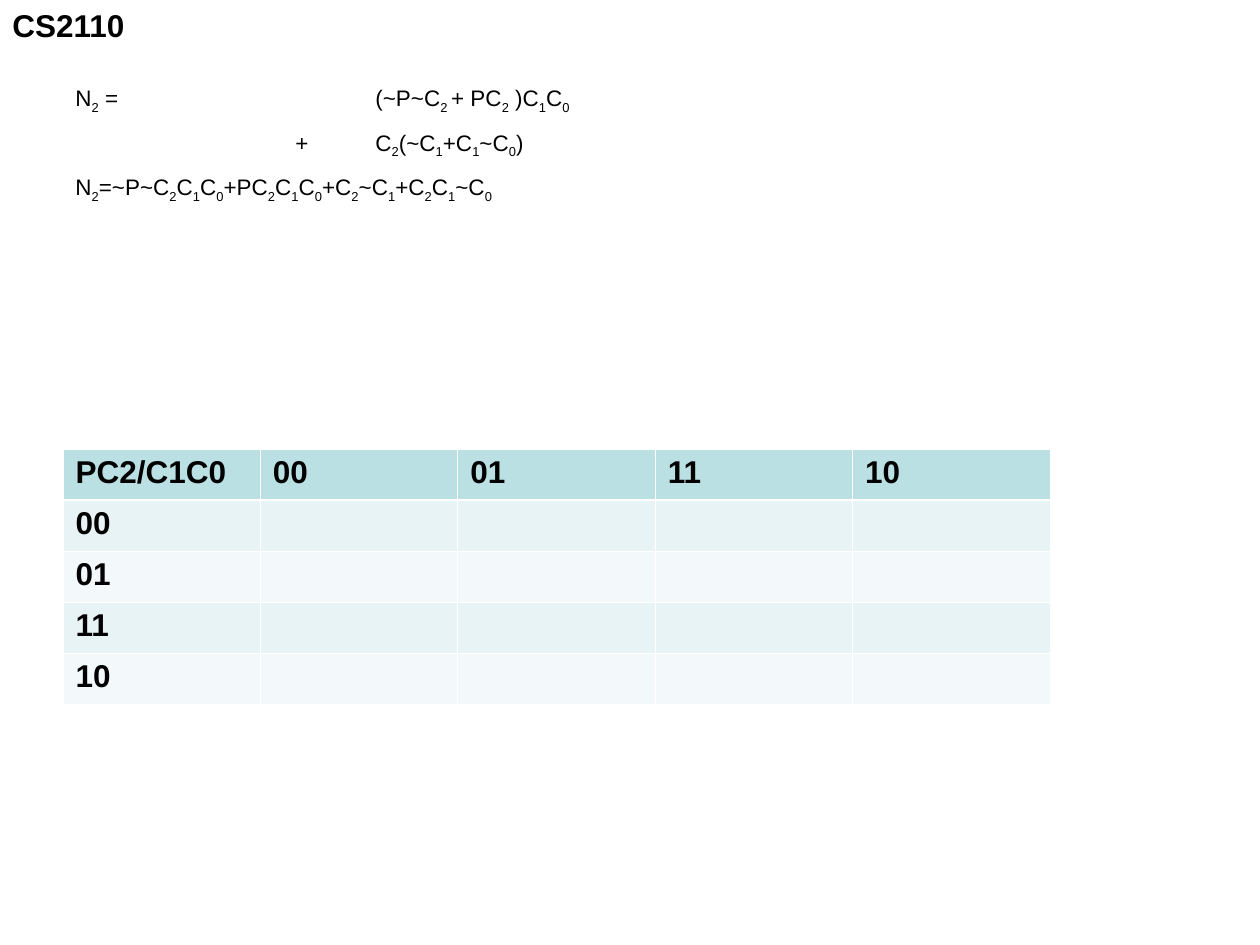
"""Build the CS2110 slide with next-state equations and an empty Karnaugh map."""
import pptx
import pptx.dml.color
import pptx.enum.text
import pptx.oxml.ns
import pptx.util
from lxml import etree

TITLE = "CS2110"
MARK = "|"
LINES = [
    "N|2| = \t\t(~P~C|2 |+ PC|2| )C|1|C|0",
    "\t+\tC|2|(~C|1|+C|1|~C|0|)",
    "N|2|=~P~C|2|C|1|C|0|+PC|2|C|1|C|0|+C|2|~C|1|+C|2|C|1|~C|0",
]
HEADS = ["PC2/C1C0", "00", "01", "11", "10"]
GRID = [HEADS] + [[code] + [""] * 4 for code in HEADS[1:]]
TABS = [220, 300]
THEME = {
    "font": "Arial", "ink": "000000", "rule": "FFFFFF",
    "head": "BBE0E3", "bands": ["E7F3F4", "F3F9FA"],
    "big": 18, "body": 12.8, "gap": 8, "thin": 0.45, "thick": 1.47,
}


def px(count):
    """Turn pixels into EMU."""
    return pptx.util.Emu(round(count * 914400 / 126))


def tint(code):
    """Return a colour from its hex code."""
    return pptx.dml.color.RGBColor.from_string(code)


def style(font, size, bold=False):
    """Set the face, size, weight and colour of a font."""
    font.name = THEME["font"]
    font.size = pptx.util.Pt(size)
    font.bold = bold
    font.color.rgb = tint(THEME["ink"])


def add(parent, tag, **attrs):
    """Append a drawing element to a parent."""
    node = etree.SubElement(parent, pptx.oxml.ns.qn(tag))
    for key, value in attrs.items():
        node.set(key, str(value))
    return node


def add_box(slide, left, top, width, height, wrap):
    """Add a text box and return its frame."""
    frame = slide.shapes.add_textbox(*map(px, (left, top, width, height))).text_frame
    frame.word_wrap = wrap
    return frame


def add_title(slide):
    """Add the course name."""
    frame = add_box(slide, 0, 0, 139, 50, False)
    frame.text = TITLE
    style(frame.paragraphs[0].runs[0].font, THEME["big"], True)


def add_lines(slide):
    """Add the equations, every second piece as a subscript."""
    frame = add_box(slide, 63, 78, 1134, 262, True)
    for row, line in enumerate(LINES):
        para = frame.add_paragraph() if row else frame.paragraphs[0]
        stops = add(para._p.get_or_add_pPr(), "a:tabLst")
        for stop in TABS:
            add(stops, "a:tab", pos=px(stop), algn="l")
        if row:
            para.space_before = pptx.util.Pt(THEME["gap"])
        for spot, piece in enumerate(line.split(MARK)):
            if piece:
                run = para.add_run()
                run.text = piece
                style(run.font, THEME["body"])
                if spot % 2:
                    run.font._element.set("baseline", "-25000")


def edge(cell, row):
    """Draw the cell borders, thicker under the header."""
    props = cell._tc.get_or_add_tcPr()
    for side in "LRTB":
        heavy = (row, side) in [(0, "B"), (1, "T")]
        width = pptx.util.Pt(THEME["thick" if heavy else "thin"])
        line = add(props, "a:ln" + side, w=width)
        add(add(line, "a:solidFill"), "a:srgbClr", val=THEME["rule"])


def add_map(slide):
    """Add the Karnaugh map."""
    size = len(HEADS)
    table = slide.shapes.add_table(
        len(GRID), size, px(63), px(449), px(987), px(255)).table
    for row, texts in enumerate(GRID):
        table.rows[row].height = px(51)
        shade = THEME["bands"][(row - 1) % 2] if row else THEME["head"]
        for col, text in enumerate(texts):
            cell = table.cell(row, col)
            edge(cell, row)
            cell.fill.solid()
            cell.fill.fore_color.rgb = tint(shade)
            cell.text = text
            style(cell.text_frame.paragraphs[0].font, THEME["big"], True)
            for run in cell.text_frame.paragraphs[0].runs:
                style(run.font, THEME["big"], True)


def main():
    """Build and save the slide."""
    deck = pptx.Presentation()
    deck.slide_width, deck.slide_height = px(1260), px(945)
    slide = deck.slides.add_slide(deck.slide_layouts[6])
    add_title(slide)
    add_lines(slide)
    add_map(slide)
    deck.save("out.pptx")


if __name__ == "__main__":
    main()
